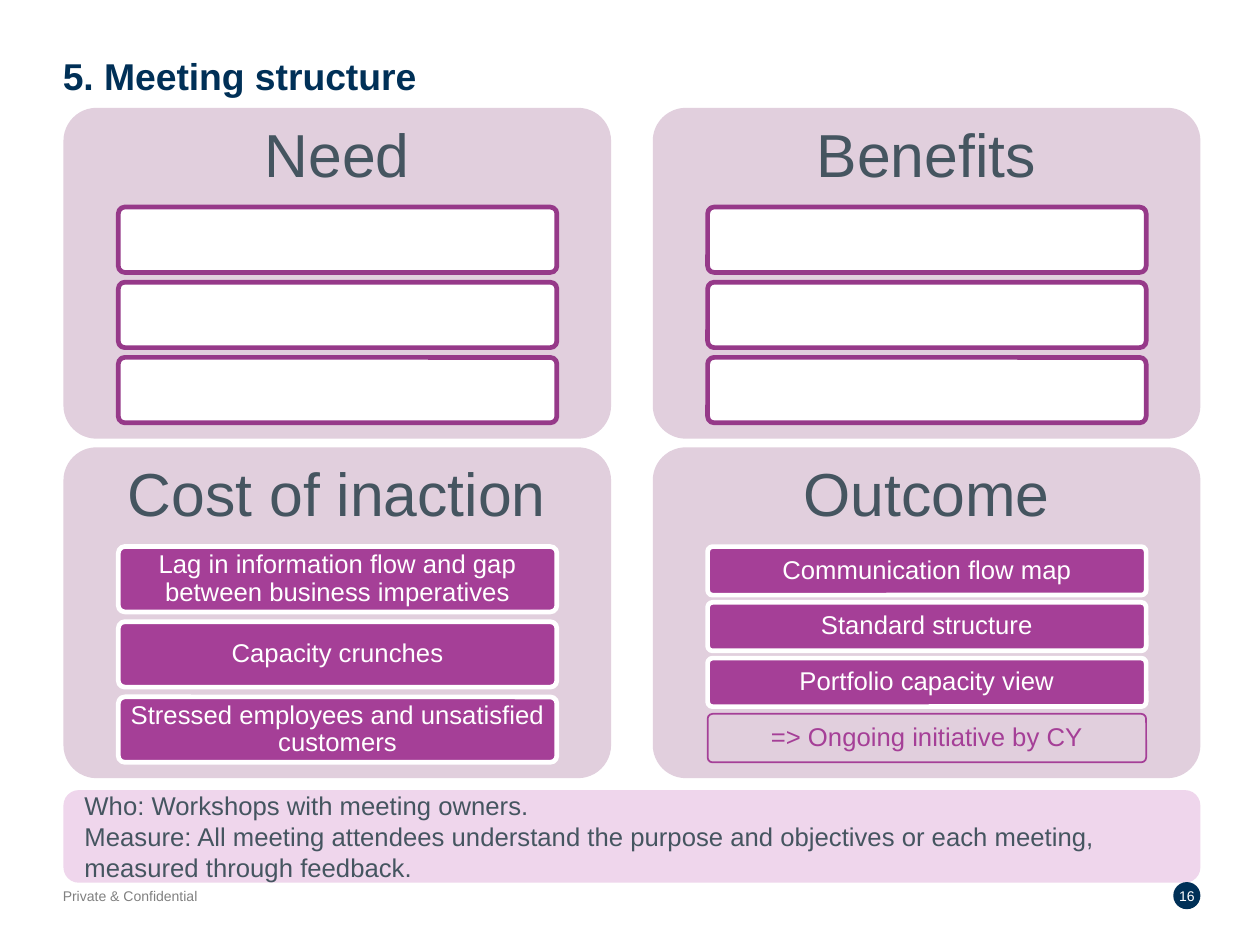
from pptx import Presentation
from pptx.dml.color import RGBColor
from pptx.enum.shapes import MSO_SHAPE
from pptx.enum.text import MSO_ANCHOR, PP_ALIGN
from pptx.util import Cm, Pt

# Content
TITLE = "5. Meeting structure"
PANELS = [
    ("Need", ["", "", ""]),
    ("Benefits", ["", "", ""]),
    ("Cost of inaction", [
        "Lag in information flow and gap between business imperatives",
        "Capacity crunches",
        "Stressed employees and unsatisfied customers",
    ]),
    ("Outcome", [
        "Communication flow map",
        "Standard structure",
        "Portfolio capacity view",
        "=> Ongoing initiative by CY",
    ]),
]
SUMMARY = [
    "Who: Workshops with meeting owners.",
    "Measure: All meeting attendees understand the purpose and objectives "
    "or each meeting, measured through feedback.",
]
FOOTER = "Private & Confidential"
PAGE_NUMBER = "16"

# Colours
NAVY, SLATE, GREY, WHITE = "003057", "455560", "808080", "FFFFFF"
PANEL, SUMMARY_FILL = "E1CFDD", "EFD6EC"
PURPLE, DARK_PURPLE = "A53F97", "963989"

# Layout in centimetres
LEFT, CONTENT_WIDTH = 0.96, 17.19
PANEL_TOP, PANEL_WIDTH, PANEL_HEIGHT = 1.63, 8.28, 5.0
COLUMN_STEP, ROW_STEP = 8.91, 5.13
HEADING_HEIGHT = 1.5
BOX_INDENT, BOX_WIDTH, STACK_HEIGHT = 0.83, 6.63, 3.26
GAP_RATIO = 0.15


def colour(value):
    return RGBColor.from_string(value)


def write(shape, lines, size, text_colour, bold=False, align=PP_ALIGN.LEFT,
          anchor=MSO_ANCHOR.MIDDLE, margins=(0, 0), spacing=None, wrap=True):
    frame = shape.text_frame
    frame.word_wrap = wrap
    frame.vertical_anchor = anchor
    frame.margin_left = frame.margin_right = Cm(margins[0])
    frame.margin_top = frame.margin_bottom = Cm(margins[1])
    for index, line in enumerate(lines):
        paragraph = frame.paragraphs[0] if index == 0 else frame.add_paragraph()
        paragraph.text = line
        paragraph.alignment = align
        paragraph.line_spacing = spacing
        paragraph.font.name = "Arial"
        paragraph.font.size = Pt(size)
        paragraph.font.bold = bold
        paragraph.font.color.rgb = colour(text_colour)


def add_shape(slide, kind, box, fill=None, line=None, line_width=2, corner=None):
    shape = slide.shapes.add_shape(kind, *map(Cm, box))
    shape.shadow.inherit = False
    if corner is not None:
        shape.adjustments[0] = corner
    if fill:
        shape.fill.solid()
        shape.fill.fore_color.rgb = colour(fill)
    else:
        shape.fill.background()
    if line:
        shape.line.color.rgb = colour(line)
        shape.line.width = Pt(line_width)
    else:
        shape.line.fill.background()
    return shape


def add_text(slide, box, text, size, text_colour, **text_format):
    write(slide.shapes.add_textbox(*map(Cm, box)), [text], size, text_colour,
          **text_format)


def box_style(text):
    if not text:
        return {"fill": WHITE, "line": DARK_PURPLE}
    if text.startswith("=>"):
        return {"line": PURPLE, "line_width": 0.75}
    return {"fill": PURPLE, "line": WHITE}


def add_panel(slide, left, top, heading, items):
    add_shape(slide, MSO_SHAPE.ROUNDED_RECTANGLE,
              (left, top, PANEL_WIDTH, PANEL_HEIGHT), fill=PANEL, corner=0.1)
    add_text(slide, (left, top, PANEL_WIDTH, HEADING_HEIGHT), heading, 26, SLATE,
             align=PP_ALIGN.CENTER, margins=(0.28, 0.28), spacing=0.9)
    # Boxes share the stack height, with gaps in proportion to their height
    height = STACK_HEIGHT / (len(items) + GAP_RATIO * (len(items) - 1))
    for index, text in enumerate(items):
        box_top = top + HEADING_HEIGHT + index * height * (1 + GAP_RATIO)
        style = box_style(text)
        box = add_shape(slide, MSO_SHAPE.ROUNDED_RECTANGLE,
                        (left + BOX_INDENT, box_top, BOX_WIDTH, height),
                        corner=0.1, **style)
        if text:
            write(box, [text], 11, WHITE if "fill" in style else PURPLE,
                  align=PP_ALIGN.CENTER, margins=(0.07, 0.05), spacing=0.9)


def main():
    presentation = Presentation()
    presentation.slide_width, presentation.slide_height = Cm(19.05), Cm(14.28)
    slide = presentation.slides.add_slide(presentation.slide_layouts[6])

    # Title
    add_text(slide, (0.95, 0.81, 17.2, 0.69), TITLE, 16, NAVY, bold=True,
             anchor=MSO_ANCHOR.TOP)

    # Panels in a two by two grid
    for index, (heading, items) in enumerate(PANELS):
        row, column = divmod(index, 2)
        add_panel(slide, LEFT + column * COLUMN_STEP, PANEL_TOP + row * ROW_STEP,
                  heading, items)

    # Summary bar
    summary = add_shape(slide, MSO_SHAPE.ROUNDED_RECTANGLE,
                        (LEFT, 11.94, CONTENT_WIDTH, 1.4), fill=SUMMARY_FILL)
    write(summary, SUMMARY, 11, SLATE, margins=(0.25, 0.13))

    # Footer and page number
    add_text(slide, (0.95, 13.41, 4, 0.25), FOOTER, 6, GREY)
    badge = add_shape(slide, MSO_SHAPE.OVAL, (17.74, 13.33, 0.41, 0.41), fill=NAVY)
    write(badge, [PAGE_NUMBER], 6, WHITE, align=PP_ALIGN.CENTER, wrap=False)

    presentation.save("out.pptx")


if __name__ == "__main__":
    main()
